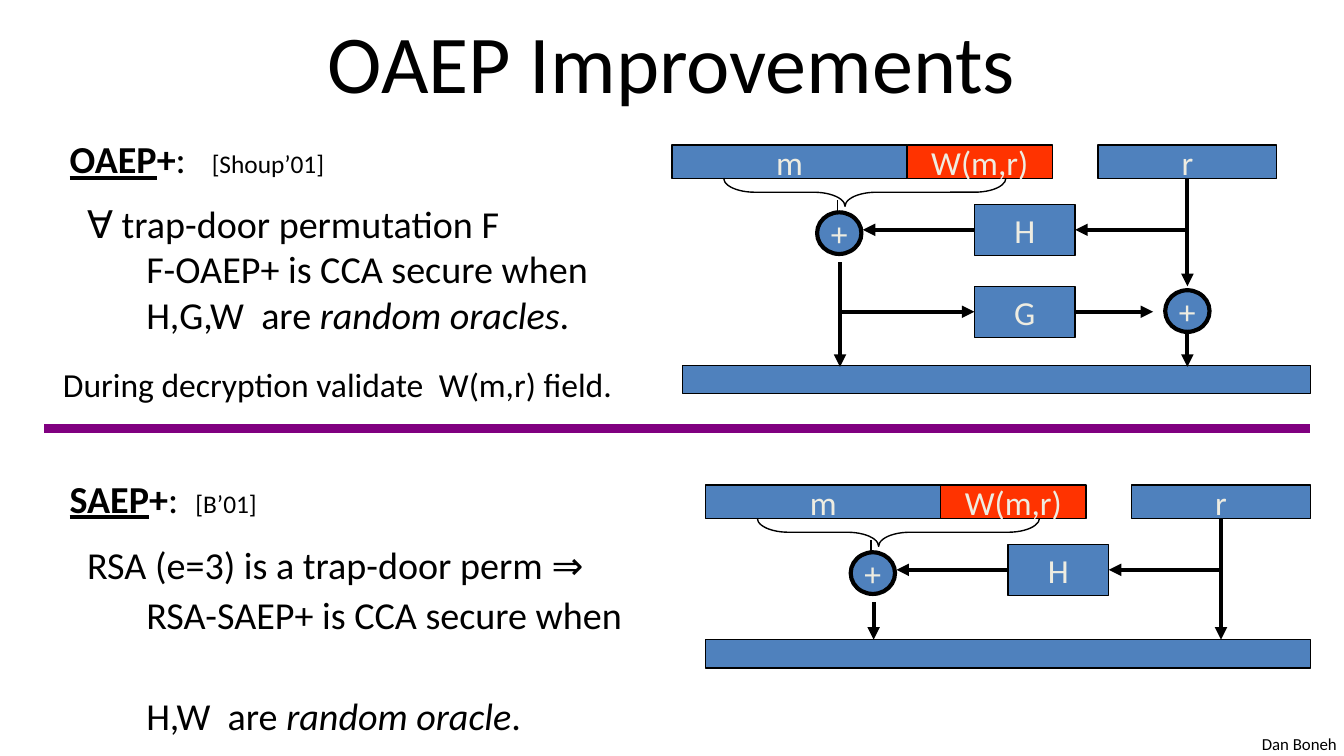
import pptx
import pptx.util
import pptx.dml.color
import pptx.enum.shapes
import pptx.enum.text
from lxml import etree

Inches, Pt = pptx.util.Inches, pptx.util.Pt
SHAPE = pptx.enum.shapes.MSO_SHAPE
STRAIGHT = pptx.enum.shapes.MSO_CONNECTOR.STRAIGHT
ALIGN = pptx.enum.text.PP_ALIGN
MIDDLE = pptx.enum.text.MSO_ANCHOR.MIDDLE
A = "http://schemas.openxmlformats.org/drawingml/2006/main"
BLUE, RED, PURPLE, BLACK, PALE = "4F81BD", "FF3300", "800080", "000000", "EEECE1"
FONT = "Calibri"
BIG, SMALL, LABEL = 20.4, 13.6, 18

TITLE = "OAEP Improvements"
FOOTER = "Dan Boneh"
NOTE = [("During decryption validate", LABEL, "", 0), (" ", LABEL, "", 4), ("W(m,r) field.", LABEL, "", 0)]

BODY = [
    {"runs": [("OAEP", BIG, "bu", 0), ("+", BIG, "b", 0), (":", BIG, "", 0),
              (" ", BIG, "", 9.2), ("[Shoup’01]", SMALL, "", 0)],
     "left": 0, "indent": 0, "before": 0, "spacing": 1},
    {"runs": [("∀ trap-door permutation F\vF-OAEP+ is CCA secure when\vH,G,W", BIG, "", 0),
              (" ", BIG, "", 4.6), ("are ", BIG, "", 0), ("random oracles", BIG, "i", 0), (".", BIG, "", 0)],
     "left": 0.57, "indent": -0.44, "before": 10, "spacing": 1},
    {"runs": [("SAEP", BIG, "bu", 0), ("+", BIG, "b", 0), (":", BIG, "", 0),
              (" ", BIG, "", 4.6), ("[B’01]", SMALL, "", 0)],
     "left": 0, "indent": 0, "before": 74, "spacing": 1},
    {"runs": [("RSA (e=3) is a trap-door perm ⇒\vRSA-SAEP+ is CCA secure when", BIG, "", 0)],
     "left": 0.57, "indent": -0.44, "before": 8.5, "spacing": 1.1},
    {"runs": [("H,W", BIG, "", 0), (" ", BIG, "", 4.6), ("are ", BIG, "", 0),
              ("random oracle", BIG, "i", 0), (".", BIG, "", 0)],
     "left": 0.57, "indent": 0, "before": 27, "spacing": 1.1},
]

LEFT_X, RIGHT_X = 6.25, 8.835
H_Y, G_Y = 1.71, 2.32
COMMON_NODES = {
    "m": ("m", SHAPE.RECTANGLE, (5, 1.08, 1.75, 0.25), BLUE),
    "W": ("W(m,r)", SHAPE.RECTANGLE, (6.75, 1.08, 1.08, 0.25), RED),
    "r": ("r", SHAPE.RECTANGLE, (8.17, 1.08, 1.33, 0.25), BLUE),
    "H": ("H", SHAPE.RECTANGLE, (7.25, 1.52, 0.75, 0.38), BLUE),
    "left plus": ("+", SHAPE.OVAL, (6.08, 1.58, 0.33, 0.31), BLUE),
}
COMMON_ARROWS = [
    (("H", 1), (6.42, H_Y)),
    ((RIGHT_X, H_Y), ("H", 3)),
]
DIAGRAMS = [
    {
        "shift": (0, 0),
        "nodes": {
            "G": ("G", SHAPE.RECTANGLE, (7.25, 2.13, 0.75, 0.38), BLUE),
            "right plus": ("+", SHAPE.OVAL, (8.67, 2.16, 0.33, 0.31), BLUE),
            "output": ("", SHAPE.RECTANGLE, (5.08, 2.72, 4.67, 0.21), BLUE),
        },
        "arrows": [
            (("r", 2), (RIGHT_X, 2.13)),
            (("G", 3), (8.58, G_Y)),
            ((LEFT_X, G_Y), ("G", 1)),
            ((LEFT_X, 1.95), (LEFT_X, 2.73)),
            ((RIGHT_X, 2.47), (RIGHT_X, 2.73)),
        ],
    },
    {
        "shift": (0.25, 2.53),
        "nodes": {"output": ("", SHAPE.RECTANGLE, (5, 2.23, 4.5, 0.21), BLUE)},
        "arrows": [
            (("r", 2), (RIGHT_X, 2.23)),
            ((LEFT_X, 1.95), (LEFT_X, 2.23)),
        ],
    },
]


def color(value):
    return pptx.dml.color.RGBColor.from_string(value)


def style_run(r, size, value, style="", gap=0):
    r.font.name, r.font.size = FONT, Pt(size)
    r.font.color.rgb = color(value)
    for mark, name in (("b", "bold"), ("i", "italic"), ("u", "underline")):
        if mark in style:
            setattr(r.font, name, True)
    if gap:
        r._r.get_or_add_rPr().set("spc", str(round(gap * 100)))


def add_runs(p, runs):
    for text, size, style, gap in runs:
        for i, line in enumerate(text.split("\v")):
            if i:
                p.add_line_break()
            r = p.add_run()
            r.text = line
            style_run(r, size, BLACK, style, gap)


def add_text(s, at, runs, align=ALIGN.LEFT, anchor=None, wrap=False):
    tf = s.shapes.add_textbox(*map(Inches, at)).text_frame
    tf.word_wrap = wrap
    tf.vertical_anchor = anchor
    p = tf.paragraphs[0]
    p.alignment = align
    add_runs(p, runs)


def add_body(s):
    tf = s.shapes.add_textbox(*map(Inches, (0.42, 0.96, 4.33, 4.52))).text_frame
    tf.word_wrap = True
    tf.margin_right = 0
    for i, block in enumerate(BODY):
        p = tf.paragraphs[0] if i == 0 else tf.add_paragraph()
        p.space_before, p.line_spacing = Pt(block["before"]), block["spacing"]
        pPr = p._p.get_or_add_pPr()
        pPr.set("marL", str(Inches(block["left"])))
        pPr.set("indent", str(Inches(block["indent"])))
        add_runs(p, block["runs"])


def add_line(shapes, start, end, width, value=BLACK, arrow=False):
    sp = shapes.add_connector(STRAIGHT, *map(Inches, (*start, *end)))
    sp.line.color.rgb, sp.line.width = color(value), Pt(width)
    if arrow:
        etree.SubElement(sp.line._get_or_add_ln(), f"{{{A}}}tailEnd", type="triangle")
    etree.SubElement(sp._element.spPr, f"{{{A}}}effectLst")
    return sp


def add_node(shapes, kind, at, fill, text, width):
    sp = shapes.add_shape(kind, *map(Inches, at))
    sp.shadow.inherit = False
    if fill:
        sp.fill.solid()
        sp.fill.fore_color.rgb = color(fill)
    else:
        sp.fill.background()
    sp.line.color.rgb, sp.line.width = color(BLACK), Pt(width)
    if text:
        tf = sp.text_frame
        tf.word_wrap, tf.vertical_anchor = False, MIDDLE
        tf.text = text
        tf.paragraphs[0].alignment = ALIGN.CENTER
        style_run(tf.paragraphs[0].runs[0], LABEL, PALE)
    return sp


def add_diagram(s, diagram):
    shapes = s.shapes.add_group_shape().shapes
    dx, dy = diagram["shift"]
    nodes = {**COMMON_NODES, **diagram["nodes"]}
    made = {}
    for name, (text, kind, (x, y, w, h), fill) in nodes.items():
        width = 2.25 if kind == SHAPE.OVAL else 0.75
        made[name] = add_node(shapes, kind, (x + dx, y + dy, w, h), fill, text, width)

    def locate(end):
        if not isinstance(end[0], str):
            return end[0] + dx, end[1] + dy
        x, y, w, h = nodes[end[0]][2]
        fx, fy = ((0.5, 0), (0, 0.5), (0.5, 1), (1, 0.5))[end[1]]
        return x + w * fx + dx, y + h * fy + dy

    for start, end in COMMON_ARROWS + diagram["arrows"]:
        sp = add_line(shapes, locate(start), locate(end), 2.25, arrow=True)
        if isinstance(start[0], str):
            sp.begin_connect(made[start[0]], start[1])
        if isinstance(end[0], str):
            sp.end_connect(made[end[0]], end[1])

    brace = add_node(shapes, SHAPE.LEFT_BRACE, (6.33 + dx, 0.38 + dy, 0.21, 2.1), None, "", 0.75)
    brace.rotation = 270
    brace.adjustments[0], brace.adjustments[1] = 1.11, 0.43
    add_line(shapes, (6.23 + dx, 1.49 + dy), (6.23 + dx, 1.57 + dy), 0.75)


def main():
    prs = pptx.Presentation()
    prs.slide_width, prs.slide_height = Inches(10), Inches(10 * 9 / 16)
    s = prs.slides.add_slide(prs.slide_layouts[6])
    add_text(s, (9.29, 5.41, 0.76, 0.25), [(FOOTER, 9, "", 0)])
    add_text(s, (0.5, -0.02, 9, 0.94), [(TITLE, 44, "", 0)], ALIGN.CENTER, MIDDLE, True)
    add_body(s)
    for diagram in DIAGRAMS:
        add_diagram(s, diagram)
    add_line(s.shapes, (0.33, 3.19), (9.75, 3.19), 4.5, PURPLE)
    add_text(s, (0.37, 2.66, 4.34, 0.4), NOTE)
    prs.save("out.pptx")


if __name__ == "__main__":
    main()
